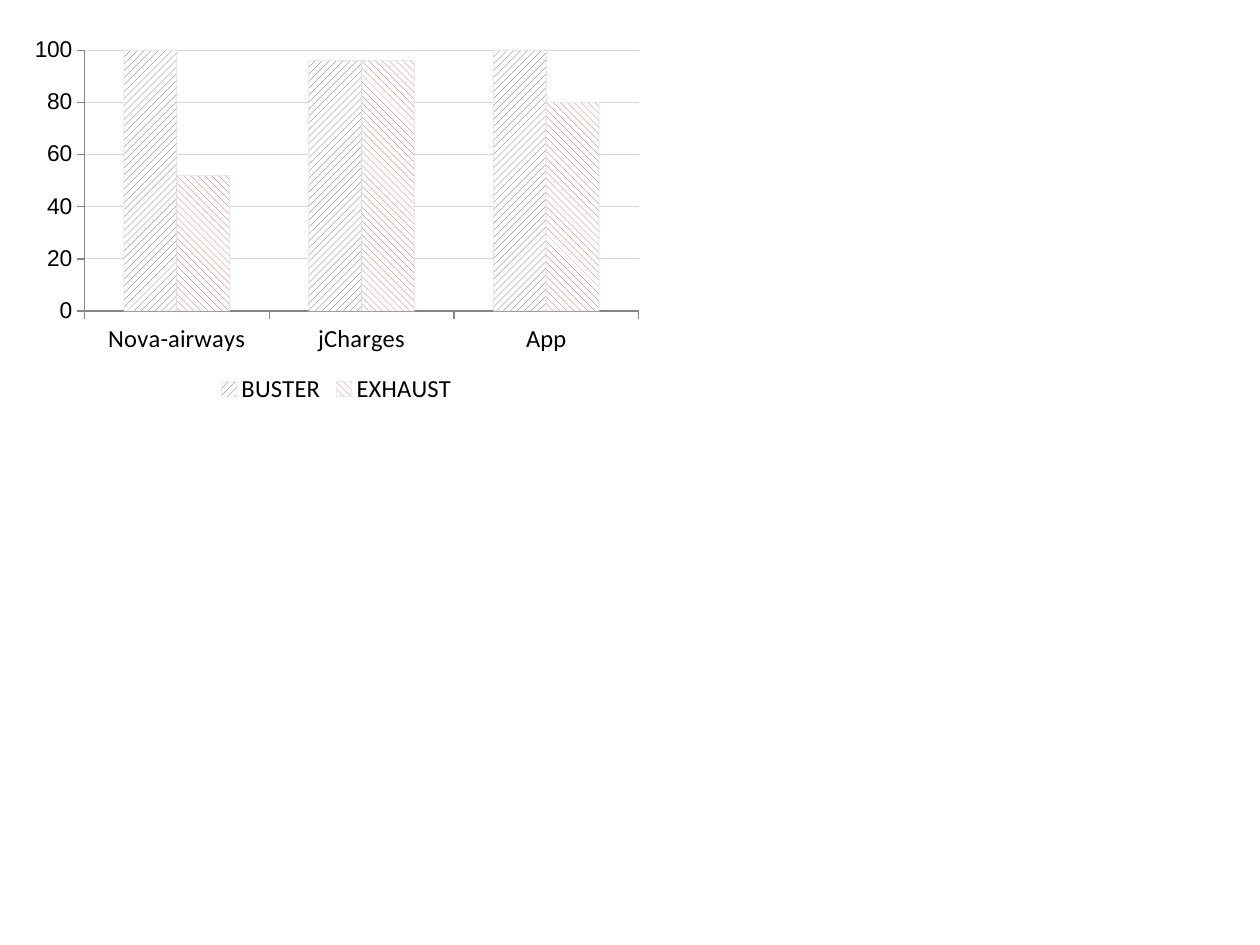
from dataclasses import dataclass

from lxml import etree
from pptx import Presentation
from pptx.chart.data import CategoryChartData
from pptx.dml.color import RGBColor
from pptx.enum.chart import XL_CHART_TYPE, XL_LEGEND_POSITION, XL_TICK_MARK
from pptx.enum.dml import MSO_PATTERN
from pptx.oxml.ns import qn
from pptx.util import Inches, Pt


@dataclass(frozen=True)
class Theme:
    text: str = "000000"
    paper: str = "FFFFFF"
    grid: str = "D9D9D9"
    axis: str = "868686"
    buster: str = "595959"
    exhaust: str = "C0504D"
    value_font: str = "Arial"
    label_font: str = "Calibri"
    base_size: int = 10
    value_size: int = 13
    label_size: int = 14


class SlideBuilder:
    def __init__(self, slide, theme):
        self.slide = slide
        self.theme = theme

    def style_font(self, font, name, size):
        font.name = name
        font.size = Pt(size)
        font.bold = False
        font.color.rgb = RGBColor.from_string(self.theme.text)

    def style_line(self, line, color, width):
        line.color.rgb = RGBColor.from_string(color)
        line.width = Pt(width)

    def style_series(self, series, pattern, color, opacity):
        fill = series.format.fill
        fill.patterned()
        fill.pattern = pattern
        fill.fore_color.rgb = RGBColor.from_string(color)
        fill.back_color.rgb = RGBColor.from_string(self.theme.paper)
        series.invert_if_negative = False
        line = series.format.line
        self.style_line(line, self.theme.grid, 0.75)
        rgb = next(series._element.spPr.find(qn("a:ln")).iter(qn("a:srgbClr")))
        etree.SubElement(rgb, qn("a:alpha")).set("val", str(opacity * 1000))

    def place_plot(self, chart, x, y, w, h):
        plot_area = chart._chartSpace.chart.plotArea
        for old in plot_area.findall(qn("c:layout")):
            plot_area.remove(old)
        layout = etree.Element(qn("c:layout"))
        manual = etree.SubElement(layout, qn("c:manualLayout"))
        settings = {"layoutTarget": "inner", "xMode": "edge", "yMode": "edge",
                    "x": x, "y": y, "w": w, "h": h}
        for tag, value in settings.items():
            etree.SubElement(manual, qn(f"c:{tag}")).set("val", str(value))
        plot_area.insert(0, layout)

    def column_chart(self, box, categories, series_specs):
        theme = self.theme
        data = CategoryChartData()
        data.categories = categories
        for name, values, *_ in series_specs:
            data.add_series(name, values)
        chart = self.slide.shapes.add_chart(
            XL_CHART_TYPE.COLUMN_CLUSTERED, *map(Inches, box), data).chart
        chart.has_title = False
        self.style_font(chart.font, theme.value_font, theme.base_size)

        plot = chart.plots[0]
        plot.gap_width = 150
        plot.overlap = 0
        plot.vary_by_categories = False
        for series, (_, _, pattern, color, opacity) in zip(plot.series, series_specs):
            self.style_series(series, pattern, color, opacity)

        values = chart.value_axis
        values.minimum_scale, values.maximum_scale, values.major_unit = 0, 100, 20
        values.tick_labels.number_format = "0"
        values.tick_labels.number_format_is_linked = False
        values.has_major_gridlines = True
        self.style_line(values.major_gridlines.format.line, theme.grid, 0.5)
        for axis, font, size in (
            (chart.category_axis, theme.label_font, theme.label_size),
            (values, theme.value_font, theme.value_size),
        ):
            axis.major_tick_mark = XL_TICK_MARK.OUTSIDE
            axis.minor_tick_mark = XL_TICK_MARK.NONE
            self.style_line(axis.format.line, theme.axis, 0.75)
            self.style_font(axis.tick_labels.font, font, size)

        chart.has_legend = True
        chart.legend.position = XL_LEGEND_POSITION.BOTTOM
        chart.legend.include_in_layout = False
        self.style_font(chart.legend.font, theme.label_font, theme.label_size)
        self.place_plot(chart, 0.1, 0.05, 0.88, 0.69)


presentation = Presentation()
presentation.slide_width = Inches(10)
presentation.slide_height = Inches(7.5)
theme = Theme()
builder = SlideBuilder(
    presentation.slides.add_slide(presentation.slide_layouts[6]), theme)
builder.column_chart(
    (0.17, 0.25, 5, 3),
    ["Nova-airways", "jCharges", "App"],
    [
        ("BUSTER", (100, 96, 100), MSO_PATTERN.WIDE_UPWARD_DIAGONAL, theme.buster, 47),
        ("EXHAUST", (52, 96, 80), MSO_PATTERN.WIDE_DOWNWARD_DIAGONAL, theme.exhaust, 48),
    ],
)
presentation.save("out.pptx")
